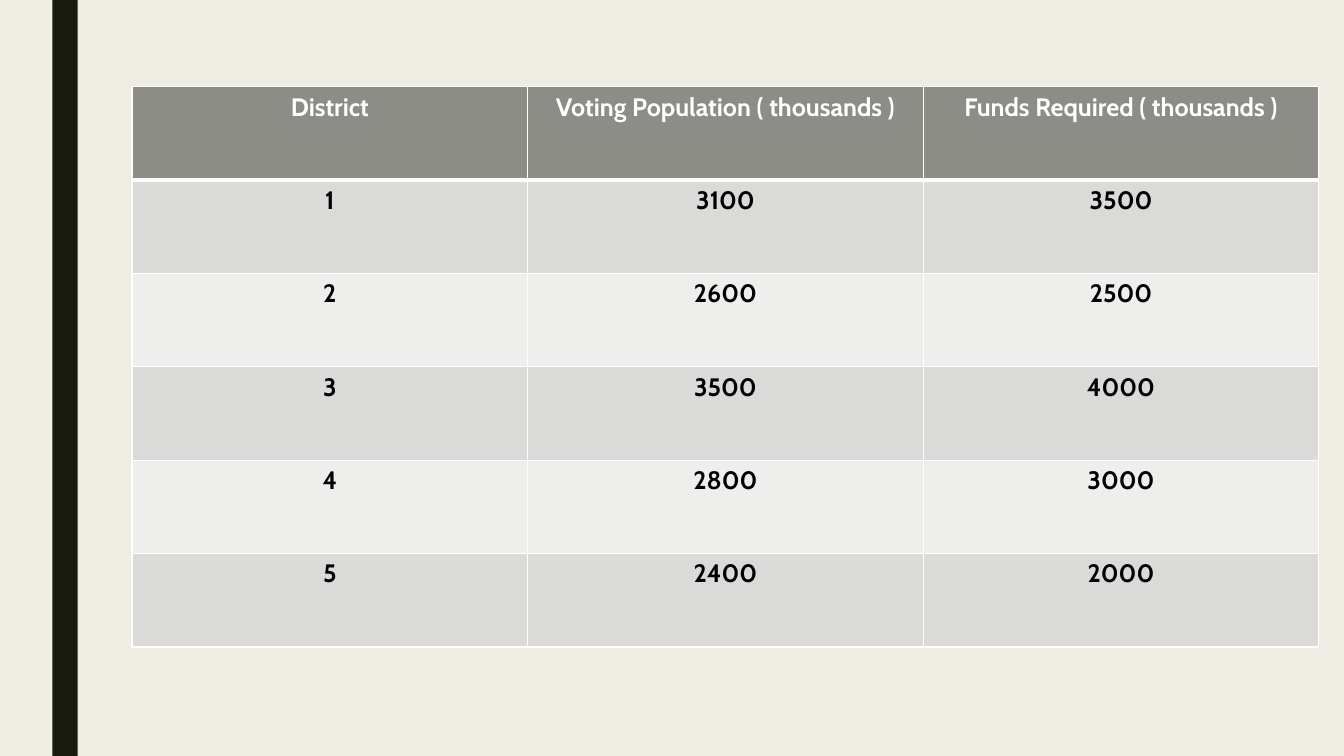
"""Builds a slide with a table of voting population and funds required by district."""
from dataclasses import dataclass

from lxml.etree import SubElement
from pptx import Presentation
from pptx.dml.color import RGBColor as Rgb
from pptx.enum.shapes import MSO_SHAPE as Shape
from pptx.enum.text import PP_ALIGN as Align
from pptx.oxml.ns import qn
from pptx.util import Inches, Pt


@dataclass(frozen=True)
class Theme:
    background: str = "EFEDE3"
    stripe: str = "191B0E"
    header: str = "8C8D86"
    bands: tuple = ("DADBD9", "EEEEED")
    border: str = "FFFFFF"
    header_text: str = "FFFFFF"
    body_text: str = "000000"
    font: str = "Cabin"
    size: int = 18
    thin: int = 1
    thick: int = 3


theme = Theme()


def add_border(cell, side, width):
    line = SubElement(cell._tc.get_or_add_tcPr(), qn(f"a:ln{side}"), w=str(Pt(width)))
    fill = SubElement(line, qn("a:solidFill"))
    SubElement(fill, qn("a:srgbClr"), val=theme.border)


presentation = Presentation()
presentation.slide_width = Inches(13.33)
presentation.slide_height = Inches(7.5)
slide = presentation.slides.add_slide(presentation.slide_layouts[6])
slide.background.fill.solid()
slide.background.fill.fore_color.rgb = Rgb.from_string(theme.background)

stripe = slide.shapes.add_shape(Shape.RECTANGLE, Inches(0.52), 0, Inches(0.25), Inches(7.5))
stripe.shadow.inherit = False
stripe.fill.solid()
stripe.fill.fore_color.rgb = Rgb.from_string(theme.stripe)
stripe.line.fill.background()

district_rows = [
    ("District", "Voting Population ( thousands )", "Funds Required ( thousands )"),
    (1, 3100, 3500),
    (2, 2600, 2500),
    (3, 3500, 4000),
    (4, 2800, 3000),
    (5, 2400, 2000),
]
districts = slide.shapes.add_table(
    len(district_rows), len(district_rows[0]),
    Inches(1.31), Inches(0.86), Inches(11.77), Inches(5.56),
).table

for row, values in enumerate(district_rows):
    is_header = row == 0
    fill_color = theme.header if is_header else theme.bands[(row - 1) % 2]
    text_color = theme.header_text if is_header else theme.body_text
    top = theme.thick if row == 1 else theme.thin
    bottom = theme.thick if is_header else theme.thin
    for column, value in enumerate(values):
        cell = districts.cell(row, column)
        for side, width in (("L", theme.thin), ("R", theme.thin), ("T", top), ("B", bottom)):
            add_border(cell, side, width)
        cell.fill.solid()
        cell.fill.fore_color.rgb = Rgb.from_string(fill_color)
        paragraph = cell.text_frame.paragraphs[0]
        paragraph.text = str(value)
        paragraph.alignment = Align.CENTER
        font = paragraph.runs[0].font
        font.name = theme.font
        font.size = Pt(theme.size)
        font.bold = True
        font.color.rgb = Rgb.from_string(text_color)

presentation.save("out.pptx")
